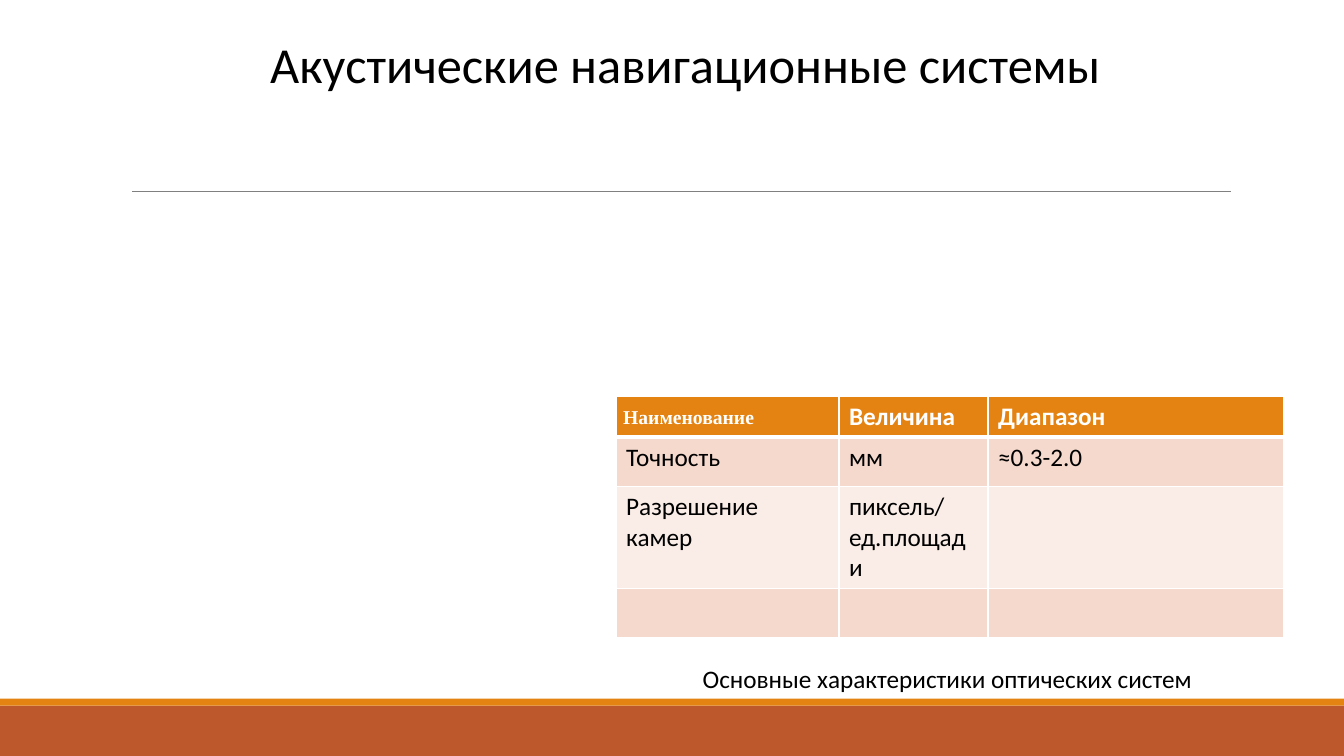
from lxml import etree
from pptx import Presentation
from pptx.dml.color import RGBColor
from pptx.enum.shapes import MSO_CONNECTOR, MSO_SHAPE
from pptx.enum.text import MSO_ANCHOR, MSO_AUTO_SIZE, PP_ALIGN
from pptx.oxml.ns import qn
from pptx.util import Inches, Pt

RECTANGLE = MSO_SHAPE.RECTANGLE
STRAIGHT = MSO_CONNECTOR.STRAIGHT
TOP = MSO_ANCHOR.TOP
LEFT, JUSTIFY = PP_ALIGN.LEFT, PP_ALIGN.JUSTIFY
NO_AUTOFIT = MSO_AUTO_SIZE.NONE

BLACK = RGBColor(0x00, 0x00, 0x00)
WHITE = RGBColor(0xFF, 0xFF, 0xFF)
GREY = RGBColor(0x80, 0x80, 0x80)
ORANGE = RGBColor(0xE4, 0x83, 0x12)
RUST = RGBColor(0xBD, 0x58, 0x2C)
ROSE = RGBColor(0xF5, 0xD9, 0xCC)
PALE_ROSE = RGBColor(0xFA, 0xED, 0xE7)

TITLE_ONLY = 5
ROWS = [
    ["Наименование", "Величина", "Диапазон"],
    ["Точность", "мм", "≈0.3-2.0"],
    ["Разрешение камер", "пиксель/ед.площади", ""],
    ["", "", ""],
]


class SlideBuilder:
    """Places elements by percent of the slide's width and height."""

    font = "Calibri"
    body_size = 18

    def __init__(self, deck):
        self.deck = deck
        self.page = deck.slides.add_slide(deck.slide_layouts[TITLE_ONLY])

    def across(self, share):
        return round(self.deck.slide_width * share / 100)

    def down(self, share):
        return round(self.deck.slide_height * share / 100)

    def frame(self, left, top, width, height):
        return self.across(left), self.down(top), self.across(width), self.down(height)

    def format_span(self, span, size, color, bold=False, font=None):
        span.font.name = font or self.font
        span.font.size = Pt(size)
        span.font.bold = bold
        span.font.color.rgb = color

    def fill_text(self, box, text, size):
        text_frame = box.text_frame
        text_frame.text = text
        text_frame.word_wrap = False
        text_frame.auto_size = NO_AUTOFIT
        text_frame.vertical_anchor = TOP
        para = text_frame.paragraphs[0]
        para.alignment = LEFT
        self.format_span(para.runs[0], size, BLACK)

    def title(self, text, size, *place):
        box = self.page.shapes.title
        box.left, box.top, box.width, box.height = self.frame(*place)
        self.fill_text(box, text, size)

    def label(self, text, *place):
        box = self.page.shapes.add_textbox(*self.frame(*place))
        self.fill_text(box, text, self.body_size)

    def band(self, color, top, height):
        box = self.page.shapes.add_shape(RECTANGLE, *self.frame(0, top, 100, height))
        box.shadow.inherit = False
        box.fill.solid()
        box.fill.fore_color.rgb = color
        box.line.fill.background()

    def rule(self, left, right, top):
        line = self.page.shapes.add_connector(
            STRAIGHT, self.across(left), self.down(top), self.across(right), self.down(top))
        line.line.color.rgb = GREY
        line.line.width = Pt(0.5)
        etree.SubElement(line._element.spPr, qn("a:effectLst"))

    def cell_borders(self, cell, bottom_width):
        properties = cell._tc.get_or_add_tcPr()
        for side, width in (("lnL", 1), ("lnR", 1), ("lnT", 1), ("lnB", bottom_width)):
            border = etree.SubElement(properties, qn(f"a:{side}"), w=str(Pt(width)))
            paint = etree.SubElement(border, qn("a:solidFill"))
            etree.SubElement(paint, qn("a:srgbClr"), val=str(WHITE))

    def table(self, rows, left, top, widths, heights):
        place = self.frame(left, top, sum(widths), sum(heights))
        table = self.page.shapes.add_table(len(rows), len(widths), *place).table
        for column, width in zip(table.columns, widths):
            column.width = self.across(width)
        for index, (row, height) in enumerate(zip(table.rows, heights)):
            row.height = self.down(height)
            header = index == 0
            fill = ORANGE if header else (PALE_ROSE, ROSE)[index % 2]
            for cell, text in zip(row.cells, rows[index]):
                self.cell_borders(cell, 3 if header else 1)
                cell.fill.solid()
                cell.fill.fore_color.rgb = fill
                cell.text = text
                for span in cell.text_frame.paragraphs[0].runs:
                    self.format_span(span, self.body_size, WHITE if header else BLACK, header)
        return table

    def compact_cell(self, cell):
        cell.margin_left = cell.margin_right = Inches(0.07)
        cell.margin_top = cell.margin_bottom = 0
        para = cell.text_frame.paragraphs[0]
        para.alignment = JUSTIFY
        para.line_spacing = 1.5
        self.format_span(para.runs[0], 14, WHITE, True, "Times New Roman")


def main():
    deck = Presentation()
    deck.slide_width, deck.slide_height = Inches(13.33), Inches(7.5)
    slide = SlideBuilder(deck)

    # Footer bands and the rule under the title
    slide.band(RUST, 93.33, 6.67)
    slide.band(ORANGE, 92.4, 0.93)
    slide.rule(9.83, 91.6, 25.33)

    # Title
    slide.title("Акустические навигационные системы", 36, 19.35, 3.73, 64, 9.47)

    # Characteristics table with its caption
    table = slide.table(ROWS, 45.84, 52.4, [16.58, 11.1, 21.98], [2.93, 6.53, 6.53, 6.53])
    slide.compact_cell(table.cell(0, 0))
    slide.label("Основные характеристики оптических систем", 51.54, 87.07, 38.33, 5.33)

    deck.save("out.pptx")


if __name__ == "__main__":
    main()
